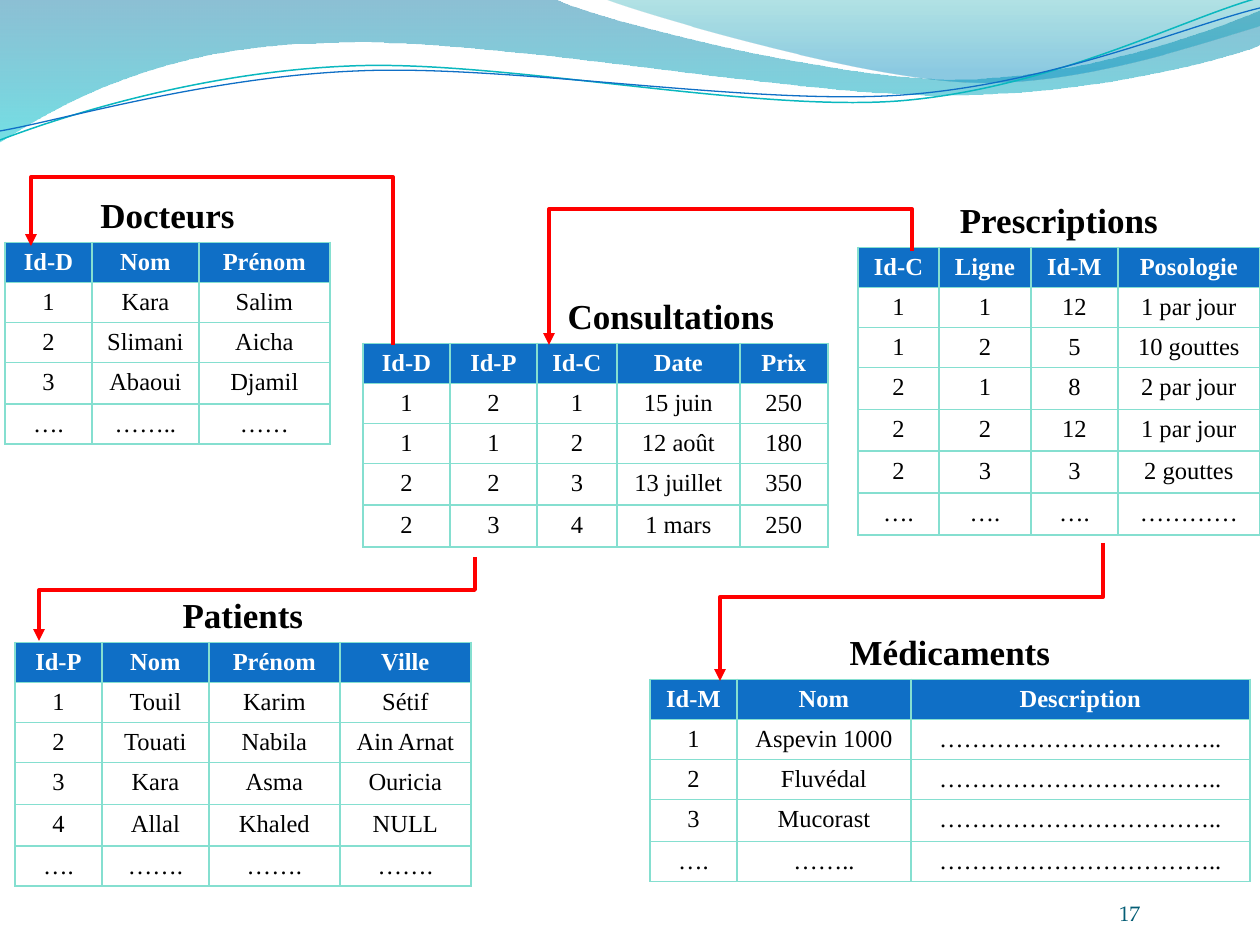
from dataclasses import dataclass

import pptx
import pptx.dml.color
import pptx.enum.shapes
import pptx.enum.text
import pptx.oxml
import pptx.oxml.ns
import pptx.util

PX = 914400 / 126
FONT = "Times New Roman"
HEADER_BLUE, GRID_GREEN, ARROW_RED = "0F6FC6", "85DFD0", "FF0000"
TITLE_H, ROW_H, TALL_ROW_H, CELL_BOTTOM = 51, 40, 42, 3
DOTS = "…………………………….."
CENTER = pptx.enum.text.PP_ALIGN.CENTER
LEFT = pptx.enum.text.PP_ALIGN.LEFT
RIGHT = pptx.enum.text.PP_ALIGN.RIGHT


@dataclass
class Relation:
    title: str
    x: int
    y: int
    cols: tuple[int, ...]
    rows: tuple[tuple[str, ...], ...]
    tall_rows: int
    title_indent: int = 0


@dataclass
class Link:
    """Goes vertically from the start to the level, across, then to the end."""
    start: tuple[int, int]
    level: int
    end: tuple[int, int]


@dataclass
class Stop:
    position: float
    color: str
    opacity: int


@dataclass
class Wave:
    """Segments hold one point (straight) or three points (cubic curve)."""
    start: tuple[int, int]
    segments: tuple[tuple[int, ...], ...]
    stops: tuple[Stop, ...] = ()
    line: str = ""
    width: float = 0


WAVES = (
    Wave((0, 0), ((554, -1), (600, 21, 837, 79, 955, 79), (1075, 79, 1207, 33, 1260, 11),
                  (1261, 45), (1239, 55, 1096, 96, 940, 95), (784, 95, 481, 35, 324, 43),
                  (163, 45, 58, 105, -1, 142)),
         stops=(Stop(0, "0074A1", 45), Stop(1, "00C6CF", 55))),
    Wave((604, -1), ((641, 14, 859, 78, 969, 82), (1079, 87, 1211, 40, 1260, 26), (1260, 0)),
         stops=(Stop(0, "00A1A9", 30), Stop(0.8, "008BBF", 45))),
    Wave((0, 140), ((60, 117, 199, 72, 349, 66), (498, 59, 747, 112, 898, 101),
                    (1050, 89, 1182, 19, 1258, -2)), line="0AB8BF", width=0.85),
    Wave((0, 131), ((59, 121, 207, 77, 357, 71), (508, 64, 752, 106, 903, 95),
                    (1053, 84, 1186, 26, 1260, 8)), line=HEADER_BLUE, width=0.75),
)

RELATIONS = (
    Relation("Docteurs", 5, 191, (87, 107, 131), (
        ("Id-D", "Nom", "Prénom"), ("1", "Kara", "Salim"), ("2", "Slimani", "Aicha"),
        ("3", "Abaoui", "Djamil"), ("….", "……..", "……")), 1),
    Relation("Consultations", 363, 292, (87, 87, 80, 123, 88), (
        ("Id-D", "Id-P", "Id-C", "Date", "Prix"), ("1", "2", "1", "15 juin", "250"),
        ("1", "1", "2", "12 août", "180"), ("2", "2", "3", "13 juillet", "350"),
        ("2", "3", "4", "1 mars", "250")), 2, title_indent=192),
    Relation("Patients", 15, 591, (87, 107, 131, 131), (
        ("Id-P", "Nom", "Prénom", "Ville"), ("1", "Touil", "Karim", "Sétif"),
        ("2", "Touati", "Nabila", "Ain Arnat"), ("3", "Kara", "Asma", "Ouricia"),
        ("4", "Allal", "Khaled", "NULL"), ("….", "…….", "…….", "…….")), 2),
    Relation("Prescriptions", 858, 196, (81, 92, 87, 142), (
        ("Id-C", "Ligne", "Id-M", "Posologie"), ("1", "1", "12", "1 par jour"),
        ("1", "2", "5", "10 gouttes"), ("2", "1", "8", "2 par jour"),
        ("2", "2", "12", "1 par jour"), ("2", "3", "3", "2 gouttes"),
        ("….", "….", "….", "…………")), 4),
    Relation("Médicaments", 650, 628, (87, 174, 339), (
        ("Id-M", "Nom", "Description"), ("1", "Aspevin 1000", DOTS), ("2", "Fluvédal", DOTS),
        ("3", "Mucorast", DOTS), ("….", "……..", DOTS)), 1),
)

LINKS = (
    Link((393, 345), 177, (31, 246)),
    Link((475, 557), 590, (39, 641)),
    Link((912, 251), 209, (549, 345)),
    Link((1103, 543), 597, (720, 681)),
)


def px(n: float) -> int:
    return round(n * PX)


def rgb(color: str) -> pptx.dml.color.RGBColor:
    return pptx.dml.color.RGBColor.from_string(color)


def sub(parent, tag: str, **attrs: str):
    el = pptx.oxml.parse_xml(f"<a:{tag} {pptx.oxml.ns.nsdecls('a')}/>")
    for key, value in attrs.items():
        el.set(key, value)
    parent.append(el)
    return el


def write(tf, text: str, size: int, color: str, align, bold: bool = False, font: str = FONT) -> None:
    p = tf.paragraphs[0]
    p.alignment = align
    r = p.add_run()
    r.text = text
    r.font.name, r.font.size, r.font.bold = font, pptx.util.Pt(size), bold
    r.font.color.rgb = rgb(color)


def bend_segments(s, wave: Wave) -> None:
    """Join the three straight steps of each cubic segment into one curve."""
    steps = iter(list(s._element.spPr.iter(pptx.oxml.ns.qn("a:lnTo"))))
    for seg in wave.segments:
        first = next(steps)
        if len(seg) == 2:
            continue
        curve = sub(first.getparent(), "cubicBezTo")
        first.addprevious(curve)
        for step in (first, next(steps), next(steps)):
            curve.append(step[0])
            step.getparent().remove(step)


def draw_wave(shapes, wave: Wave) -> None:
    builder = shapes.build_freeform(px(wave.start[0]), px(wave.start[1]))
    points = [(px(x), px(y)) for seg in wave.segments for x, y in zip(seg[::2], seg[1::2])]
    builder.add_line_segments(points, close=bool(wave.stops))
    s = builder.convert_to_shape()
    bend_segments(s, wave)
    s.shadow.inherit = False
    if not wave.stops:
        s.fill.background()
        s.line.color.rgb = rgb(wave.line)
        s.line.width = pptx.util.Pt(wave.width)
        return
    s.line.fill.background()
    s.fill.gradient()
    s.fill.gradient_angle = 270
    for gs, stop in zip(s.fill.gradient_stops, wave.stops):
        gs.position, gs.color.rgb = stop.position, rgb(stop.color)
    for clr, stop in zip(s._element.spPr.iter(pptx.oxml.ns.qn("a:srgbClr")), wave.stops):
        sub(clr, "alpha", val=str(stop.opacity * 1000))


def format_cell(cell, sides: str, fill: str = "") -> None:
    cell.margin_bottom = px(CELL_BOTTOM)
    tc_pr = cell._tc.get_or_add_tcPr()
    for side in "LRTB":
        ln = sub(tc_pr, f"ln{side}", w="12700")
        if side in sides:
            sub(sub(ln, "solidFill"), "srgbClr", val=GRID_GREEN)
        else:
            sub(ln, "noFill")
    if fill:
        cell.fill.solid()
        cell.fill.fore_color.rgb = rgb(fill)
    else:
        cell.fill.background()


def draw_relation(shapes, rel: Relation) -> None:
    heights = [TITLE_H] + [ROW_H] * 3 + [TALL_ROW_H] * rel.tall_rows
    heights += [ROW_H] * (len(rel.rows) + 1 - len(heights))
    table = shapes.add_table(len(heights), len(rel.cols), px(rel.x), px(rel.y),
                             px(sum(rel.cols)), px(sum(heights))).table
    table.first_row = table.horz_banding = False
    for col, width in zip(table.columns, rel.cols):
        col.width = px(width)
    for row, height in zip(table.rows, heights):
        row.height = px(height)

    title = table.cell(0, 0)
    title.merge(table.cell(0, len(rel.cols) - 1))
    for cell in table.rows[0].cells:
        format_cell(cell, "B")
    tf = title.text_frame
    write(tf, rel.title, 20, "000000", LEFT if rel.title_indent else CENTER, True)
    if rel.title_indent:
        tf.paragraphs[0]._p.get_or_add_pPr().set("marL", str(px(rel.title_indent)))

    for i, values in enumerate(rel.rows):
        header = i == 0
        for j, value in enumerate(values):
            cell = table.cell(i + 1, j)
            format_cell(cell, "LRTB", HEADER_BLUE if header else "")
            write(cell.text_frame, value, 14, "FFFFFF" if header else "000000", CENTER, header)


def draw_link(shapes, link: Link) -> None:
    """Turn an elbow connector by 90° so that it leaves and arrives vertically."""
    (x1, y1), (x2, y2) = link.start, link.end
    mid_x, mid_y, run, rise = (x1 + x2) / 2, (y1 + y2) / 2, y2 - y1, x1 - x2
    s = shapes.add_connector(pptx.enum.shapes.MSO_CONNECTOR.ELBOW,
                             px(mid_x - run / 2), px(mid_y - rise / 2),
                             px(mid_x + run / 2), px(mid_y + rise / 2))
    sp_pr = s._element.spPr
    sp_pr.xfrm.set("rot", str(90 * 60000))
    bend = round((link.level - y1) / run * 100000)
    sub(sp_pr.prstGeom.get_or_add_avLst(), "gd", name="adj1", fmla=f"val {bend}")
    s.line.color.rgb = rgb(ARROW_RED)
    s.line.width = pptx.util.Pt(2.25)
    sub(s.line._get_or_add_ln(), "tailEnd", type="triangle")
    sub(sp_pr, "effectLst")


def draw_page_number(shapes) -> None:
    tf = shapes.add_textbox(px(1036), px(876), px(104), px(50)).text_frame
    tf.word_wrap = True
    tf.margin_left = tf.margin_right = tf.margin_top = tf.margin_bottom = 0
    tf.vertical_anchor = pptx.enum.text.MSO_ANCHOR.BOTTOM
    write(tf, "17", 12, "045D75", RIGHT, font="TeX Gyre Pagella")


def main() -> None:
    prs = pptx.Presentation()
    prs.slide_width, prs.slide_height = px(1260), px(945)
    shapes = prs.slides.add_slide(prs.slide_layouts[6]).shapes
    for wave in WAVES:
        draw_wave(shapes, wave)
    draw_page_number(shapes)
    for rel in RELATIONS:
        draw_relation(shapes, rel)
    for link in LINKS:
        draw_link(shapes, link)
    prs.save("out.pptx")


if __name__ == "__main__":
    main()
